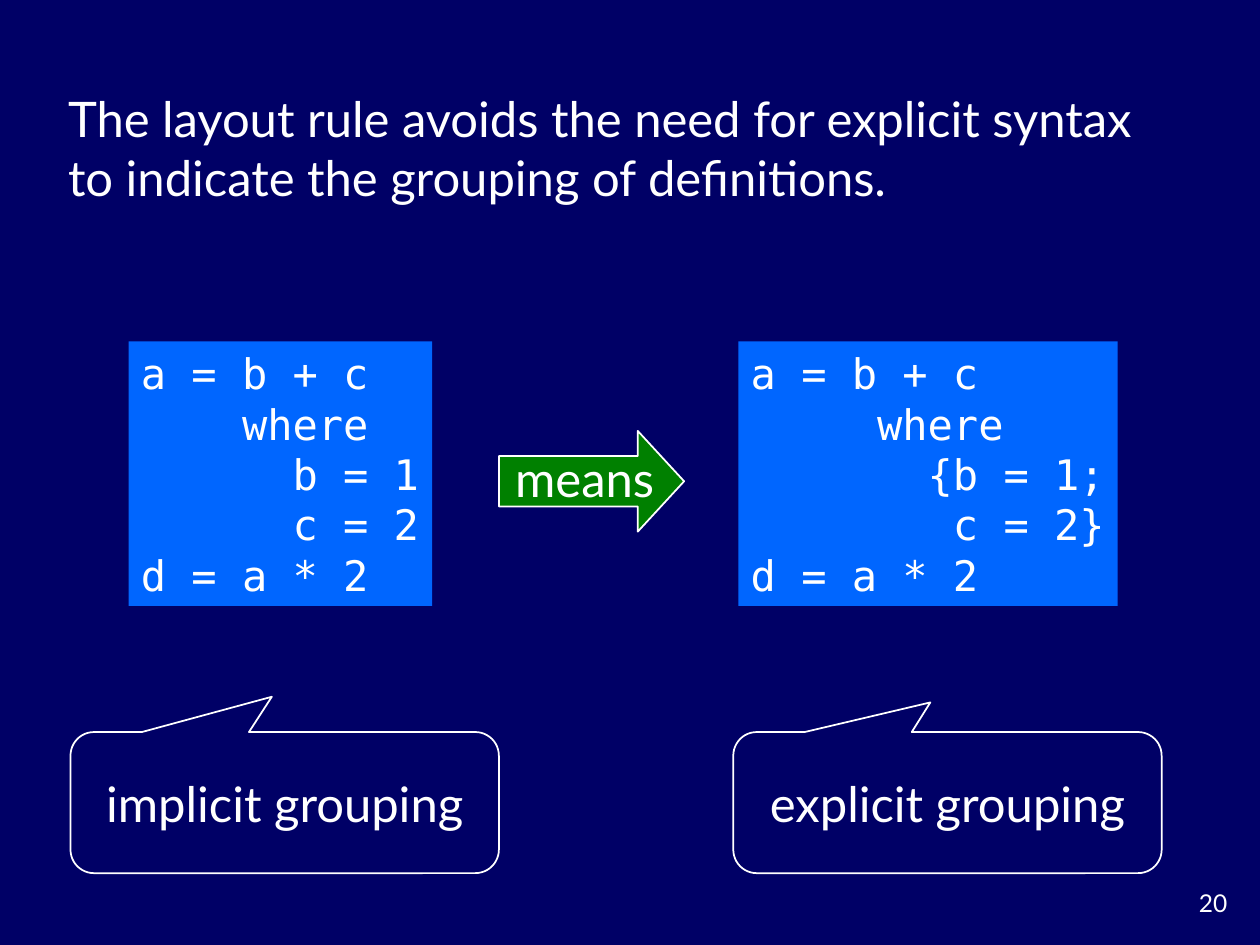
from dataclasses import dataclass

from pptx import Presentation
from pptx.dml.color import RGBColor
from pptx.enum.shapes import MSO_SHAPE
from pptx.enum.text import MSO_ANCHOR, MSO_AUTO_SIZE, PP_ALIGN
from pptx.util import Inches, Pt

RECTANGLE = MSO_SHAPE.RECTANGLE
ARROW = MSO_SHAPE.RIGHT_ARROW
CALLOUT = MSO_SHAPE.ROUNDED_RECTANGULAR_CALLOUT
LEFT, CENTER, RIGHT = PP_ALIGN.LEFT, PP_ALIGN.CENTER, PP_ALIGN.RIGHT
TOP, MIDDLE = MSO_ANCHOR.TOP, MSO_ANCHOR.MIDDLE
NO_FIT = MSO_AUTO_SIZE.NONE
TITLE_ONLY = 5
COLUMNS, ROWS = 100, 75


@dataclass(frozen=True)
class Theme:
    background: RGBColor = RGBColor(0x00, 0x00, 0x66)
    ink: RGBColor = RGBColor(0xFF, 0xFF, 0xFF)
    code_fill: RGBColor = RGBColor(0x00, 0x66, 0xFF)
    arrow_fill: RGBColor = RGBColor(0x00, 0x80, 0x00)
    text_font: str = "Lato"
    code_font: str = "DejaVu Sans Mono"
    text_size: int = 28
    code_size: int = 24
    number_size: int = 14
    line_width: int = 1


THEME = Theme()
SLIDE_WIDTH, SLIDE_HEIGHT = Inches(10), Inches(7.5)

IMPLICIT_CODE = """\
a = b + c
    where
      b = 1
      c = 2
d = a * 2"""

EXPLICIT_CODE = """\
a = b + c
     where
       {b = 1;
        c = 2}
d = a * 2"""


def grid(column, row, columns, rows):
    return (
        round(SLIDE_WIDTH * column / COLUMNS),
        round(SLIDE_HEIGHT * row / ROWS),
        round(SLIDE_WIDTH * columns / COLUMNS),
        round(SLIDE_HEIGHT * rows / ROWS),
    )


def write(box, text, align=LEFT, anchor=MIDDLE, wrap=True,
          font=THEME.text_font, size=THEME.text_size):
    frame = box.text_frame
    frame.text = text
    frame.auto_size = NO_FIT
    frame.word_wrap = wrap
    frame.vertical_anchor = anchor
    for para in frame.paragraphs:
        para.alignment = align
        para.font.name = font
        para.font.size = Pt(size)
        para.font.color.rgb = THEME.ink


def add_panel(shapes, kind, place, fill=None, outlined=True):
    panel = shapes.add_shape(kind, *place)
    panel.shadow.inherit = False
    if fill is None:
        panel.fill.background()
    else:
        panel.fill.solid()
        panel.fill.fore_color.rgb = fill
    if outlined:
        panel.line.color.rgb = THEME.ink
        panel.line.width = Pt(THEME.line_width)
    else:
        panel.line.fill.background()
    return panel


def add_title(slide, text, place):
    title = slide.shapes.title
    title.left, title.top, title.width, title.height = place
    write(title, text)


def add_code(slide, code, place):
    panel = add_panel(slide.shapes, RECTANGLE, place, THEME.code_fill, outlined=False)
    write(panel, code, wrap=False, font=THEME.code_font, size=THEME.code_size)


def add_callout(slide, text, place, tip):
    callout = add_panel(slide.shapes, CALLOUT, place)
    callout.adjustments[0], callout.adjustments[1] = tip
    write(callout, text, CENTER)


def add_labelled_arrow(slide, text, arrow_place, label_place):
    group = slide.shapes.add_group_shape()
    arrow = add_panel(group.shapes, ARROW, arrow_place, THEME.arrow_fill)
    arrow.adjustments[1] = 0.46
    write(group.shapes.add_textbox(*label_place), text, CENTER, wrap=False)


def add_page_number(slide, text, place):
    box = slide.shapes.add_textbox(*place)
    write(box, text, RIGHT, TOP, size=THEME.number_size)


def main():
    deck = Presentation()
    deck.slide_width, deck.slide_height = SLIDE_WIDTH, SLIDE_HEIGHT
    slide = deck.slides.add_slide(deck.slide_layouts[TITLE_ONLY])
    slide.background.fill.solid()
    slide.background.fill.fore_color.rgb = THEME.background

    add_title(
        slide,
        "The layout rule avoids the need for explicit syntax "
        "to indicate the grouping of definitions.",
        grid(4.4, 6.5, 89, 10.4),
    )
    add_labelled_arrow(slide, "means", grid(39.6, 34.2, 14.7, 8), grid(39.3, 35.1, 14.2, 5.7))
    add_code(slide, IMPLICIT_CODE, grid(10.2, 27.1, 24.1, 21))
    add_code(slide, EXPLICIT_CODE, grid(58.6, 27.1, 30.1, 21))
    add_callout(slide, "implicit grouping", grid(5.6, 58.1, 34, 11.2), (-0.03, -0.75))
    add_callout(slide, "explicit grouping", grid(58.2, 58.1, 34, 11.2), (-0.04, -0.71))
    add_page_number(slide, "20", grid(91.7, 70, 6.7, 3.3))
    deck.save("out.pptx")


if __name__ == "__main__":
    main()
